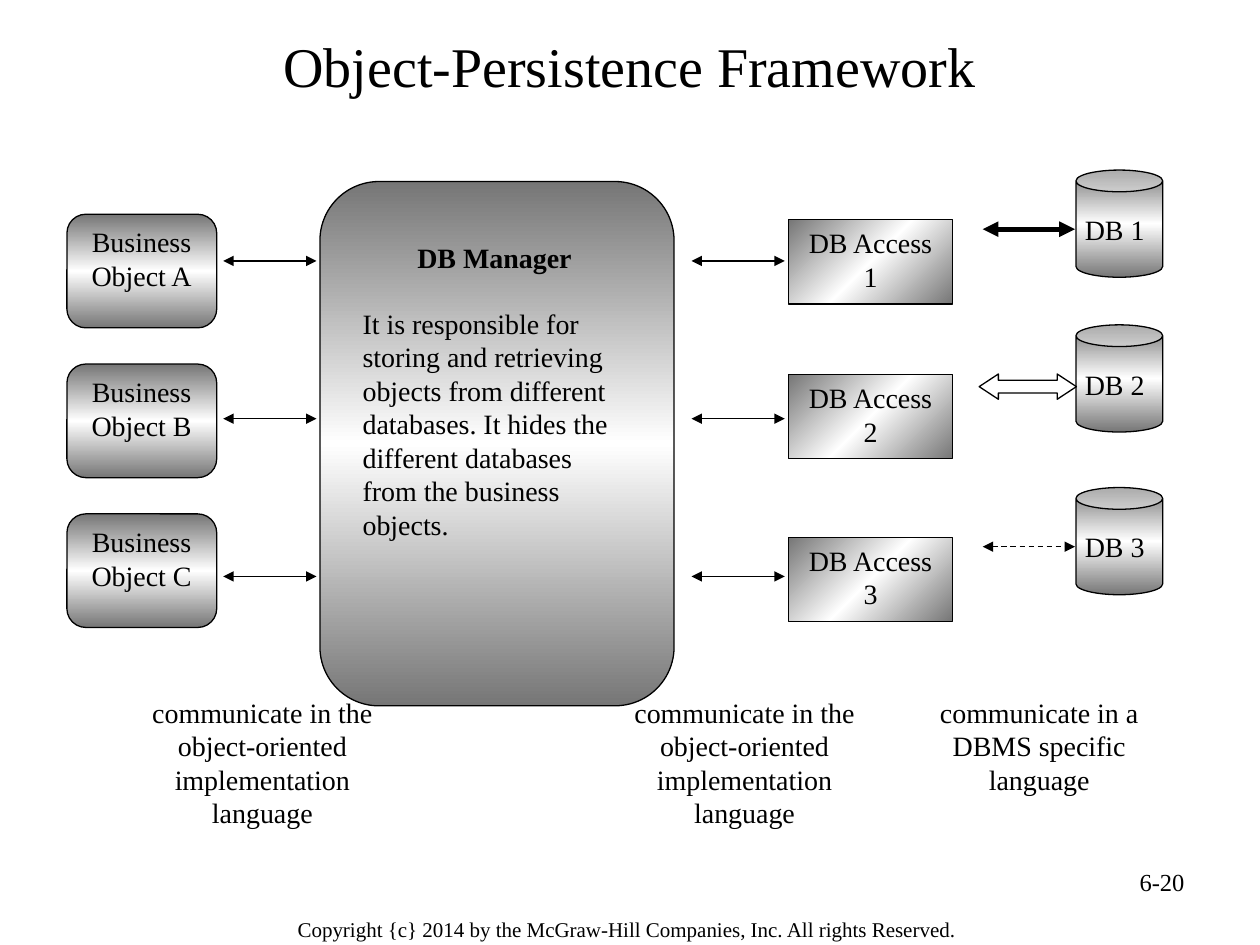
from copy import deepcopy
from dataclasses import dataclass

from lxml import etree
from pptx import Presentation
from pptx.dml.color import RGBColor
from pptx.enum import dml, shapes, text
from pptx.oxml import ns
from pptx.util import Cm, Pt

COLORS = {"ink": "000000", "edge": "767676", "glow": "FFFFFF"}
FONT = "Times New Roman"
LEFT, CENTER, RIGHT = text.PP_ALIGN.LEFT, text.PP_ALIGN.CENTER, text.PP_ALIGN.RIGHT
DOWN, DIAGONAL = 270, 135  # gradient directions
SHAPE = shapes.MSO_SHAPE


@dataclass
class Box:
    """A rectangle in centimetres."""
    left: float
    top: float
    width: float
    height: float

    def lengths(self) -> list:
        return [Cm(v) for v in (self.left, self.top, self.width, self.height)]


@dataclass
class Link:
    """A horizontal two-headed arrow, in centimetres."""
    start: float
    end: float
    y: float
    weight: float = 0.75
    dashed: bool = False


def color(name: str) -> RGBColor:
    return RGBColor.from_string(COLORS[name])


def write(shape, lines: list[str], align=CENTER, size: float = 16) -> None:
    frame = shape.text_frame
    frame.word_wrap = True
    frame.text = "\n".join(lines)
    for paragraph in frame.paragraphs:
        paragraph.alignment = align
        paragraph.font.name = FONT
        paragraph.font.size = Pt(size)
        paragraph.font.color.rgb = color("ink")


def add_text(slide, box: Box, lines: list[str], align=CENTER, size: float = 16):
    shape = slide.shapes.add_textbox(*box.lengths())
    write(shape, lines, align, size)
    return shape


def add_block(slide, kind, box: Box, angle: int | None = None):
    """Outlined shape; with an angle it gets the dark-light-dark gradient."""
    shape = slide.shapes.add_shape(kind, *box.lengths())
    shape.shadow.inherit = False
    shape.line.color.rgb = color("ink")
    shape.line.width = Pt(0.75)
    if angle is None:
        shape.fill.solid()
        shape.fill.fore_color.rgb = color("glow")
        return shape
    shape.fill.gradient()
    shape.fill.gradient_angle = angle
    stops = shape._element.spPr.find(".//" + ns.qn("a:gsLst"))
    stops.insert(1, deepcopy(stops[0]))
    for stop, position, name in zip(shape.fill.gradient_stops, (0, 0.5, 1),
                                    ("edge", "glow", "edge")):
        stop.position = position
        stop.color.rgb = color(name)
    return shape


def add_link(slide, link: Link) -> None:
    connector = slide.shapes.add_connector(
        shapes.MSO_CONNECTOR.STRAIGHT,
        Cm(link.start), Cm(link.y), Cm(link.end), Cm(link.y))
    connector.line.color.rgb = color("ink")
    connector.line.width = Pt(link.weight)
    if link.dashed:
        connector.line.dash_style = dml.MSO_LINE.DASH
    line = connector.line._get_or_add_ln()
    for end in ("a:headEnd", "a:tailEnd"):
        etree.SubElement(line, ns.qn(end), type="triangle")
    etree.SubElement(connector._element.spPr, ns.qn("a:effectLst"))


def main() -> None:
    presentation = Presentation()
    presentation.slide_width, presentation.slide_height = Cm(25.4), Cm(19.05)
    slide = presentation.slides.add_slide(presentation.slide_layouts[5])

    # Title, page number and copyright
    title = slide.shapes.title
    title.left, title.top, title.width, title.height = Box(1.27, 0.36, 22.86, 1.9).lengths()
    title.text_frame.vertical_anchor = text.MSO_ANCHOR.MIDDLE
    write(title, ["Object-Persistence Framework"], size=32)
    add_text(slide, Box(18.21, 17.35, 5.92, 1.32), ["6-20"], RIGHT, 14)
    add_text(slide, Box(4.78, 18.36, 15.72, 0.79),
             ["Copyright {c} 2014 by the McGraw-Hill Companies, Inc. All rights Reserved."],
             size=12)

    # Database manager
    add_block(slide, SHAPE.ROUNDED_RECTANGLE, Box(6.45, 3.66, 7.14, 10.57), DOWN)
    manager = add_text(slide, Box(7.06, 4.72, 5.82, 8.79), [
        "DB Manager",
        "It is responsible for storing and retrieving objects from different "
        "databases. It hides the different databases from the business objects."], LEFT)
    heading = manager.text_frame.paragraphs[0]
    heading.alignment = CENTER
    heading.font.bold = True
    heading.space_after = Pt(18.4)

    # Business objects
    for row, letter in enumerate("ABC"):
        top = 4.32 + 3.02 * row
        add_block(slide, SHAPE.ROUNDED_RECTANGLE, Box(1.35, top, 3.02, 2.29), DOWN)
        add_text(slide, Box(1.24, top + 0.09, 3.23, 2.03), [f"Business Object {letter}"])

    # Databases and their access layers
    for number, top in enumerate((3.43, 6.55, 9.83), start=1):
        add_block(slide, SHAPE.CAN, Box(21.69, top, 1.75, 2.16), DOWN)
        add_text(slide, Box(21.62, top + 0.73, 1.93, 1.45), [f"DB {number}"], LEFT)
        access = add_block(slide, SHAPE.RECTANGLE, Box(15.9, top + 1, 3.3, 1.7), DIAGONAL)
        access.text_frame.vertical_anchor = text.MSO_ANCHOR.TOP
        write(access, [f"DB Access {number}"])

    # Arrows on both sides of the manager, then one style per database
    links = [Link(start, start + 1.88, 5.26 + 3.18 * row)
             for start in (4.5, 13.94) for row in range(3)]
    links += [Link(19.81, 21.67, 4.62, weight=3), Link(19.81, 21.67, 11.02, dashed=True)]
    for link in links:
        add_link(slide, link)
    arrow = add_block(slide, SHAPE.LEFT_RIGHT_ARROW, Box(19.74, 7.54, 1.96, 0.51))
    arrow.adjustments[1] = 0.76

    # Captions
    object_language = "communicate in the object-oriented implementation language"
    for left, caption in ((2.24, object_language), (11.96, object_language),
                          (17.9, "communicate in a DBMS specific language")):
        add_text(slide, Box(left, 13.89, 6.1, 3.1), [caption])

    presentation.save("out.pptx")


if __name__ == "__main__":
    main()
